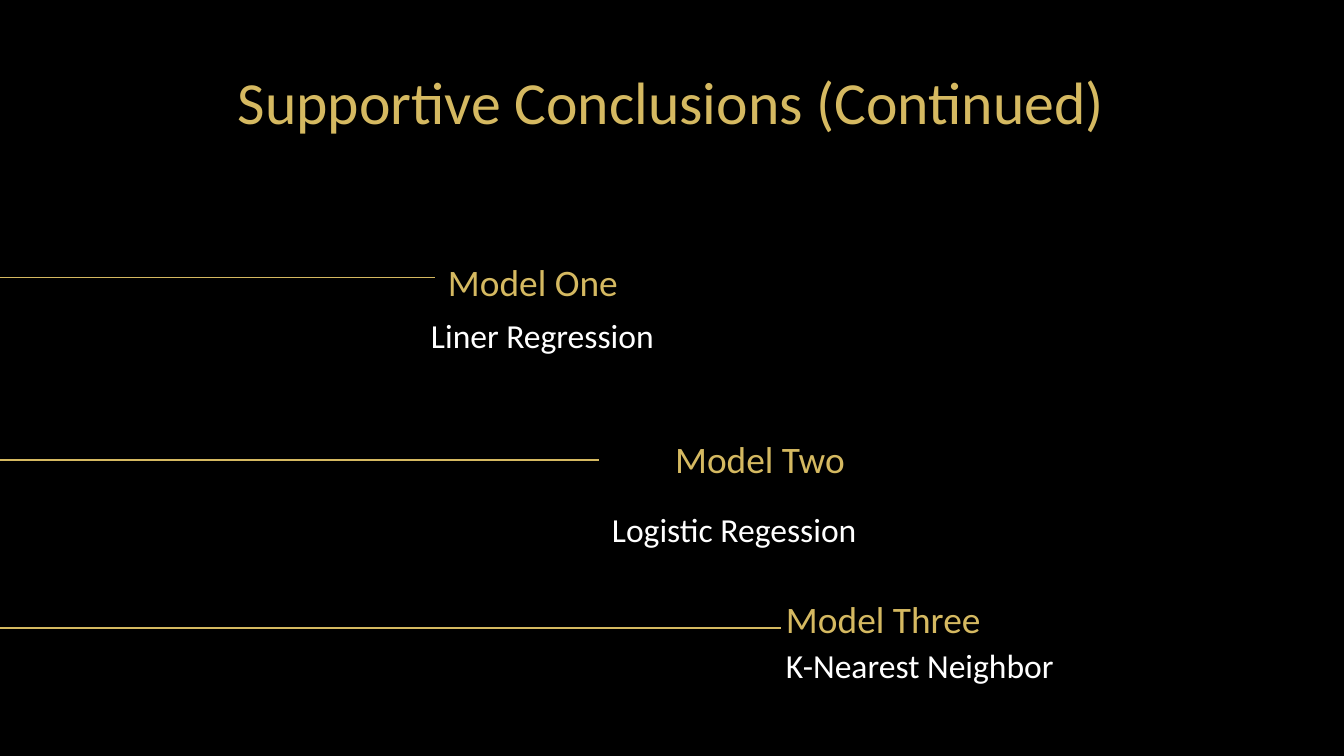
import pptx
import pptx.dml.color
import pptx.enum.shapes
import pptx.enum.text
import pptx.oxml.ns
import pptx.util
from lxml import etree

RGBColor = pptx.dml.color.RGBColor
MSO_ANCHOR = pptx.enum.text.MSO_ANCHOR
PP_ALIGN = pptx.enum.text.PP_ALIGN

BLACK = RGBColor(0x00, 0x00, 0x00)
GOLD = RGBColor(0xD5, 0xB9, 0x61)
WHITE = RGBColor(0xFF, 0xFF, 0xFF)
FONT = "Calibri"

SLIDE_SIZE = (1344, 756)
PX_PER_INCH = 134.4
INSET = 13
HEADING_SIZE = (296, 63)
DETAIL_SIZE = (507, 58)

TITLE = "Supportive Conclusions (Continued)"
TITLE_AREA = (215, 75, 913, 75)

# "rule" is the right end of the line that runs in from the left edge.
MODELS = [
    {"heading": "Model One", "heading_at": (435, 246), "align": PP_ALIGN.LEFT,
     "detail": "Liner Regression", "detail_at": (418, 302),
     "rule": (435, 278), "joined": True},
    {"heading": "Model Two", "heading_at": (612, 423), "align": PP_ALIGN.CENTER,
     "detail": "Logistic Regession", "detail_at": (599, 496),
     "rule": (599, 460), "joined": False},
    {"heading": "Model Three", "heading_at": (773, 583), "align": PP_ALIGN.LEFT,
     "detail": "K-Nearest Neighbor", "detail_at": (773, 632),
     "rule": (781, 628), "joined": False},
]


def px(length):
    return pptx.util.Emu(round(length * 914400 / PX_PER_INCH))


def add_text(slide, text, area, size, color, align=PP_ALIGN.LEFT,
             anchor=MSO_ANCHOR.TOP, space_after=0):
    box = slide.shapes.add_textbox(*map(px, area))
    frame = box.text_frame
    frame.word_wrap = True
    frame.vertical_anchor = anchor
    frame.margin_left = frame.margin_right = px(INSET)
    frame.margin_top = frame.margin_bottom = px(INSET)
    frame.text = text
    para = frame.paragraphs[0]
    para.alignment = align
    para.space_after = pptx.util.Pt(space_after)
    font = para.runs[0].font
    font.name = FONT
    font.size = pptx.util.Pt(size)
    font.color.rgb = color
    return box


def add_rule(slide, right, y):
    rule = slide.shapes.add_connector(
        pptx.enum.shapes.MSO_CONNECTOR.STRAIGHT, px(0), px(y), px(right), px(y))
    rule.line.color.rgb = GOLD
    rule.line.width = pptx.util.Pt(0.75)
    properties = rule._element.spPr
    etree.SubElement(properties, pptx.oxml.ns.qn("a:effectLst"))
    return rule


def add_model(slide, model):
    heading = add_text(slide, model["heading"], model["heading_at"] + HEADING_SIZE,
                       20, GOLD, align=model["align"])
    add_text(slide, model["detail"], model["detail_at"] + DETAIL_SIZE,
             18, WHITE, space_after=16)
    rule = add_rule(slide, *model["rule"])
    if model["joined"]:
        rule.begin_y = heading.top + heading.height // 2
        rule.end_connect(heading, 1)


def main():
    deck = pptx.Presentation()
    deck.slide_width, deck.slide_height = map(px, SLIDE_SIZE)
    slide = deck.slides.add_slide(deck.slide_layouts[6])
    slide.background.fill.solid()
    slide.background.fill.fore_color.rgb = BLACK

    for model in MODELS:
        add_model(slide, model)
    add_text(slide, TITLE, TITLE_AREA, 32, GOLD,
             align=PP_ALIGN.CENTER, anchor=MSO_ANCHOR.BOTTOM)

    deck.save("out.pptx")


if __name__ == "__main__":
    main()
